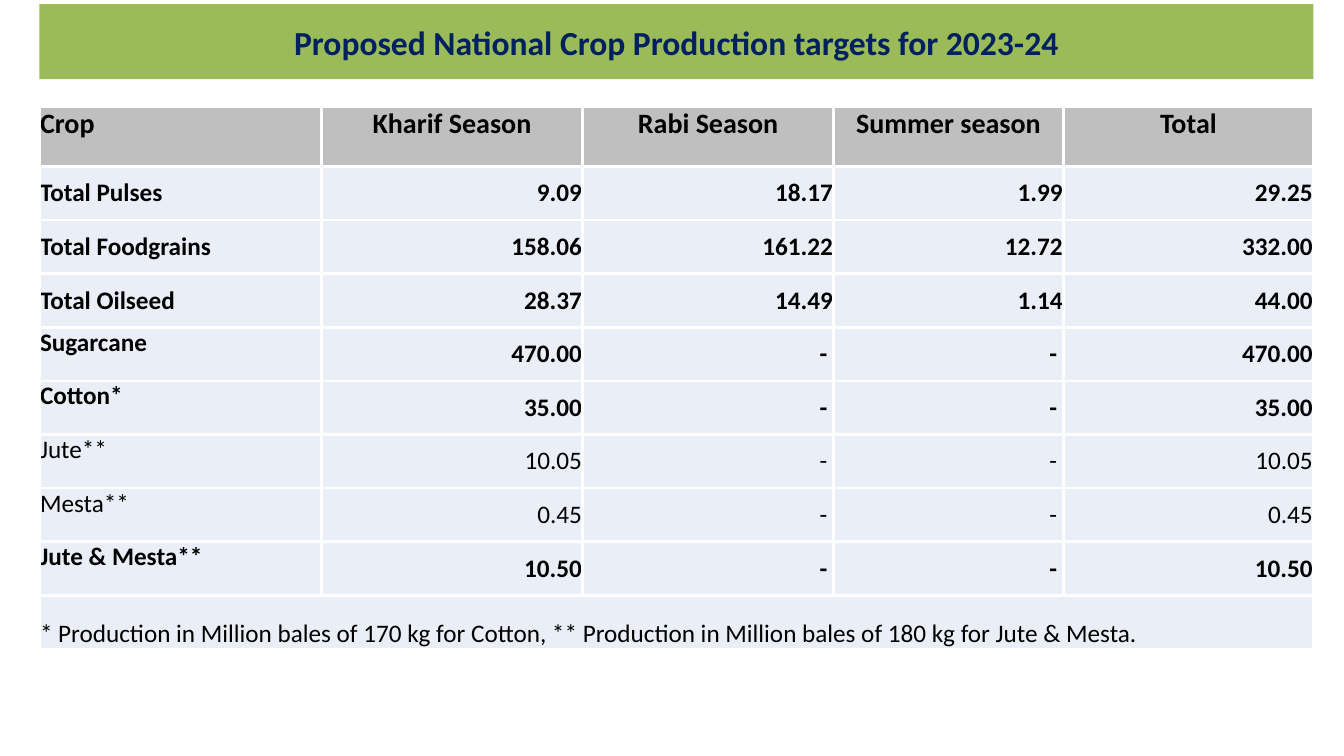
from lxml import etree
from pptx import Presentation
from pptx.dml.color import RGBColor
from pptx.enum.text import MSO_ANCHOR, MSO_AUTO_SIZE, PP_ALIGN
from pptx.oxml.ns import qn
from pptx.util import Pt

LEFT, CENTER, RIGHT = PP_ALIGN.LEFT, PP_ALIGN.CENTER, PP_ALIGN.RIGHT
TOP, MIDDLE, BOTTOM = MSO_ANCHOR.TOP, MSO_ANCHOR.MIDDLE, MSO_ANCHOR.BOTTOM
NO_AUTOFIT = MSO_AUTO_SIZE.NONE

TITLE = "Proposed National Crop Production targets for 2023-24"
NOTE = ("* Production in Million bales of 170 kg for Cotton, "
        "** Production in Million bales of 180 kg for Jute & Mesta.")
HEADINGS = ["Crop", "Kharif Season", "Rabi Season", "Summer season", "Total"]
CROPS = [
    ["Total Pulses", "9.09", "18.17", "1.99", "29.25"],
    ["Total Foodgrains", "158.06", "161.22", "12.72", "332.00"],
    ["Total Oilseed", "28.37", "14.49", "1.14", "44.00"],
    ["Sugarcane", "470.00", "-", "-", "470.00"],
    ["Cotton*", "35.00", "-", "-", "35.00"],
    ["Jute**", "10.05", "-", "-", "10.05"],
    ["Mesta**", "0.45", "-", "-", "0.45"],
    ["Jute & Mesta**", "10.50", "-", "-", "10.50"],
]
PLAIN_CROPS = ("Jute**", "Mesta**")
COLUMN_WIDTHS = [201.6, 186.5, 179.3, 164.1, 178.6]
HEADER_HEIGHT, ROW_HEIGHT = 42.5, 38.3
HEADER_FILL, BODY_FILL = "BFBFBF", "EAEFF7"


def rgb(value):
    """Turn a hex string into a colour."""
    return RGBColor.from_string(value)


def format_text(p, size, color, bold, align):
    """Format a paragraph and its runs."""
    p.alignment = align
    for r in p.runs:
        r.font.name = "Calibri"
        r.font.size = Pt(size)
        r.font.bold = bold
        r.font.color.rgb = rgb(color)


def add_borders(cell, color, width):
    """Draw a solid line on all four sides of a cell."""
    tc_pr = cell._tc.get_or_add_tcPr()
    for side in ("lnL", "lnR", "lnT", "lnB"):
        ln = etree.SubElement(tc_pr, qn(f"a:{side}"), w=str(Pt(width)))
        fill = etree.SubElement(ln, qn("a:solidFill"))
        etree.SubElement(fill, qn("a:srgbClr"), val=color)


def fill_cell(cell, text, fill, size=18, bold=True, align=LEFT, anchor=MIDDLE):
    """Write and style one table cell."""
    add_borders(cell, "FFFFFF", 2.25)
    cell.fill.solid()
    cell.fill.fore_color.rgb = rgb(fill)
    cell.margin_left = Pt(0.5)
    cell.margin_right = Pt(4.6 if text == "-" else 0.5)
    cell.margin_top = cell.margin_bottom = Pt(0)
    cell.vertical_anchor = anchor
    cell.text_frame.text = text
    format_text(cell.text_frame.paragraphs[0], size, "000000", bold, align)


def add_title(slide, left, top, width, height):
    """Place the title as a filled band."""
    sp = slide.shapes.title
    sp.left, sp.top, sp.width, sp.height = Pt(left), Pt(top), Pt(width), Pt(height)
    sp.fill.solid()
    sp.fill.fore_color.rgb = rgb("9BBB59")
    tf = sp.text_frame
    tf.text = TITLE
    tf.auto_size = NO_AUTOFIT
    tf.vertical_anchor = MIDDLE
    format_text(tf.paragraphs[0], 24, "002060", True, CENTER)


def add_targets(slide, left, top):
    """Place the table of crop targets with its note in the last row."""
    rows, cols = len(CROPS) + 2, len(HEADINGS)
    height = HEADER_HEIGHT + ROW_HEIGHT * (rows - 1)
    table = slide.shapes.add_table(rows, cols, Pt(left), Pt(top),
                                   Pt(sum(COLUMN_WIDTHS)), Pt(height)).table
    for column, width in zip(table.columns, COLUMN_WIDTHS):
        column.width = Pt(width)
    for i, row in enumerate(table.rows):
        row.height = Pt(ROW_HEIGHT if i else HEADER_HEIGHT)

    for j, heading in enumerate(HEADINGS):
        fill_cell(table.cell(0, j), heading, HEADER_FILL, 20,
                  align=CENTER if j else LEFT, anchor=TOP)
    for i, crop in enumerate(CROPS, 1):
        bold = crop[0] not in PLAIN_CROPS
        for j, text in enumerate(crop):
            is_total = crop[0].startswith("Total")
            fill_cell(table.cell(i, j), text, BODY_FILL, bold=bold,
                      align=RIGHT if j else LEFT,
                      anchor=MIDDLE if j or is_total else TOP)

    note = table.cell(rows - 1, 0)
    note.merge(table.cell(rows - 1, cols - 1))
    fill_cell(note, NOTE, BODY_FILL, bold=False, anchor=BOTTOM)


def main():
    """Build and save the slide."""
    prs = Presentation()
    prs.slide_width, prs.slide_height = Pt(960), Pt(540)
    slide = prs.slides.add_slide(prs.slide_layouts.get_by_name("Title Only"))
    add_title(slide, 28.1, 3, sum(COLUMN_WIDTHS), 53.5)
    add_targets(slide, 28.1, 76.4)
    prs.save("out.pptx")


if __name__ == "__main__":
    main()
